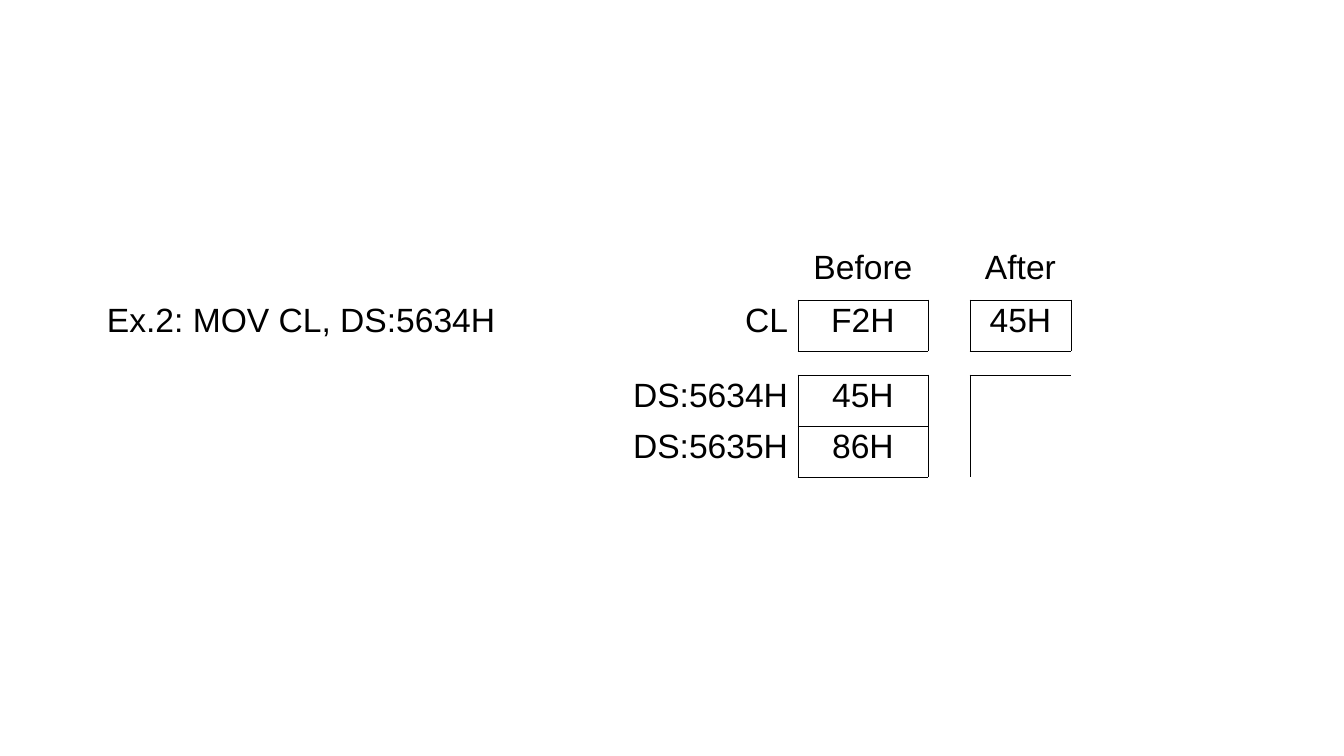
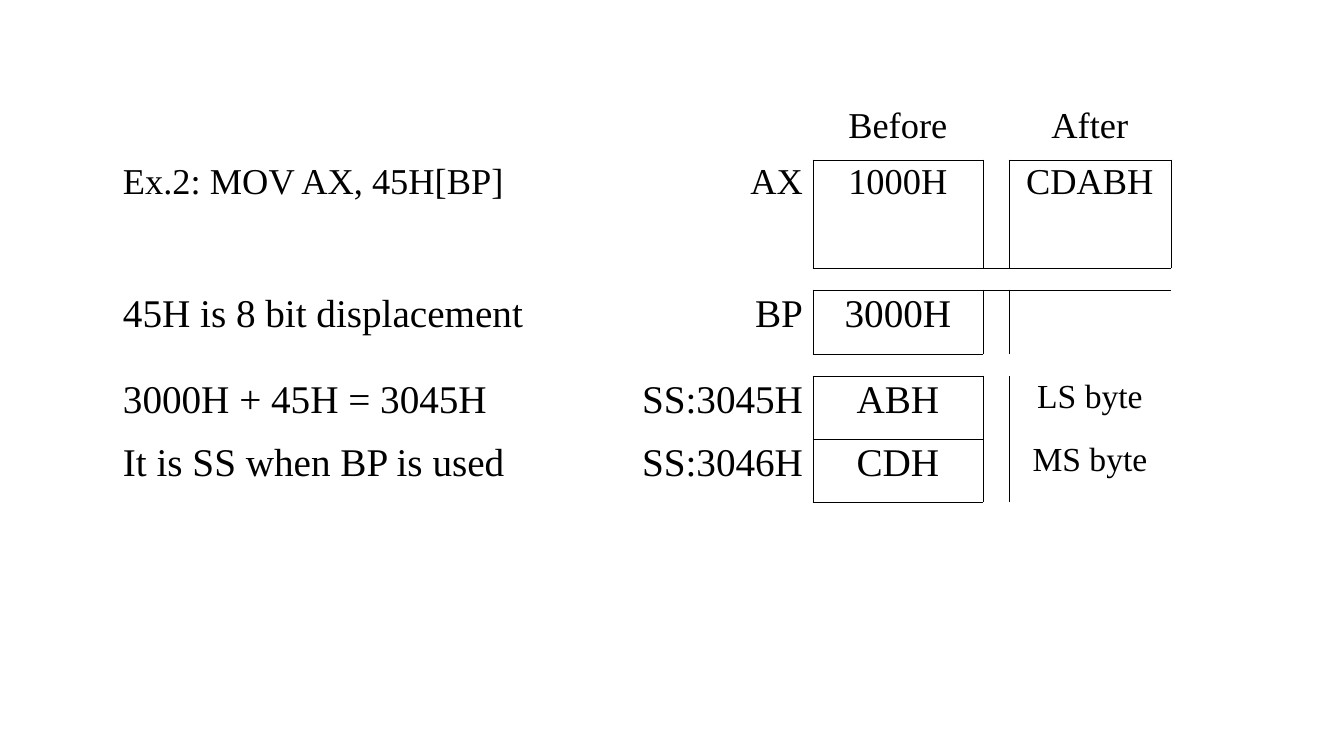
import pptx
import pptx.util
import pptx.dml.color
import pptx.enum.text
import pptx.oxml.ns
from lxml import etree

SLIDE_W, SLIDE_H = 1344, 756
SCALE = 12192000 / SLIDE_W
BLACK = pptx.dml.color.RGBColor(0, 0, 0)
NO_STYLE = "{2D5ABB26-0587-4C30-8999-92F81FD0307C}"
ALIGN = pptx.enum.text.PP_ALIGN
COLUMN_ALIGN = [ALIGN.LEFT, ALIGN.RIGHT, ALIGN.CENTER, ALIGN.CENTER, ALIGN.CENTER]
# side: (row step, column step, facing side of the neighbour)
SIDES = {"L": (0, -1, "R"), "R": (0, 1, "L"), "T": (-1, 0, "B"), "B": (1, 0, "T")}
BOX = "LRTB"
qn = pptx.oxml.ns.qn


def px(n):
    return pptx.util.Emu(round(n * SCALE))


class Deck:
    inset_x, inset_y, header_gap = 10, 5, 14
    line_spacing = 0.93
    border = pptx.util.Pt(0.45)

    def __init__(self):
        self.prs = pptx.Presentation()
        self.prs.slide_width, self.prs.slide_height = px(SLIDE_W), px(SLIDE_H)

    def new_slide(self, font):
        self.font = font
        self.s = self.prs.slides.add_slide(self.prs.slide_layouts[6])

    def fill_cell(self, cell, text, size, align):
        cell.margin_left = cell.margin_right = px(self.inset_x)
        cell.margin_top = cell.margin_bottom = px(self.inset_y)
        p = cell.text_frame.paragraphs[0]
        p.alignment = align
        p.line_spacing = self.line_spacing
        r = p.add_run()
        r.text = text
        r.font.name, r.font.size = self.font, pptx.util.Pt(size)
        r.font.color.rgb = BLACK

    def clear_cell(self, cell):
        """Let an empty cell shrink to the height of its row."""
        cell.margin_top = cell.margin_bottom = 0
        p = cell.text_frame.paragraphs[0]
        etree.SubElement(p._p, qn("a:endParaRPr"), sz="800")

    def draw_borders(self, cell, pos, lines):
        """Draw the sides in lines, shared with the neighbouring cells."""
        tc_pr = cell._tc.get_or_add_tcPr()
        for side, (dr, dc, facing) in SIDES.items():
            neighbour = (pos[0] + dr, pos[1] + dc)
            if side in lines.get(pos, "") or facing in lines.get(neighbour, ""):
                ln = etree.SubElement(tc_pr, qn("a:ln" + side), w=str(self.border))
                fill = etree.SubElement(ln, qn("a:solidFill"))
                etree.SubElement(fill, qn("a:srgbClr"), val=str(BLACK))

    def table(self, x, y, widths, rows, lines, sizes=None):
        """Rows are (height, text size, texts); sizes overrides single cells."""
        sizes = sizes or {}
        sp = self.s.shapes.add_table(len(rows), len(widths), px(x), px(y),
                                     px(sum(widths)), px(sum(row[0] for row in rows)))
        tbl = sp.table
        tbl.first_row = tbl.horz_banding = False
        sp._element.find(".//" + qn("a:tableStyleId")).text = NO_STYLE
        for col, width in zip(tbl.columns, widths):
            col.width = px(width)
        for i, (height, size, texts) in enumerate(rows):
            tbl.rows[i].height = px(height)
            for j, text in enumerate(texts):
                cell = tbl.cell(i, j)
                if text:
                    self.fill_cell(cell, text, sizes.get((i, j), size), COLUMN_ALIGN[j])
                else:
                    self.clear_cell(cell)
                if i == 0 and text:
                    cell.vertical_anchor = pptx.enum.text.MSO_ANCHOR.BOTTOM
                    cell.margin_bottom = px(self.header_gap)
                self.draw_borders(cell, (i, j), lines)
                cell.fill.background()


HEADER = ["", "", "Before", "", "After"]
GAP = [""] * 5


def direct_slide(deck):
    deck.new_slide("Arial")
    rows = [
        (100, 24, HEADER),
        (51, 24, ["Ex.2: MOV CL, DS:5634H", "CL", "F2H", "", "45H"]),
        (24, 24, GAP),
        (51, 24, ["", "DS:5634H", "45H", "", ""]),
        (51, 24, ["", "DS:5635H", "86H", "", ""]),
    ]
    boxes = dict.fromkeys([(1, 2), (1, 4), (3, 2), (4, 2)], BOX)
    deck.table(97, 200, [494, 207, 130, 42, 101], rows, boxes)


def displacement_slide(deck):
    deck.new_slide("Times New Roman")
    rows = [
        (59, 26, HEADER),
        (108, 26, ["Ex.2: MOV AX, 45H[BP]", "AX", "1000H", "", "CDABH"]),
        (22, 26, GAP),
        (64, 28, ["45H is 8 bit displacement", "BP", "3000H", "", ""]),
        (22, 28, GAP),
        (63, 28, ["3000H + 45H = 3045H", "SS:3045H", "ABH", "", "LS byte"]),
        (63, 28, ["It is SS when BP is used", "SS:3046H", "CDH", "", "MS byte"]),
    ]
    lines = dict.fromkeys([(1, 2), (1, 4), (3, 2), (5, 2), (6, 2)], BOX)
    lines[1, 3] = "B"
    deck.table(113, 101, [467, 233, 170, 26, 162], rows, lines,
               sizes={(5, 4): 24, (6, 4): 24})


def main():
    deck = Deck()
    direct_slide(deck)
    displacement_slide(deck)
    deck.prs.save("out.pptx")


if __name__ == "__main__":
    main()
